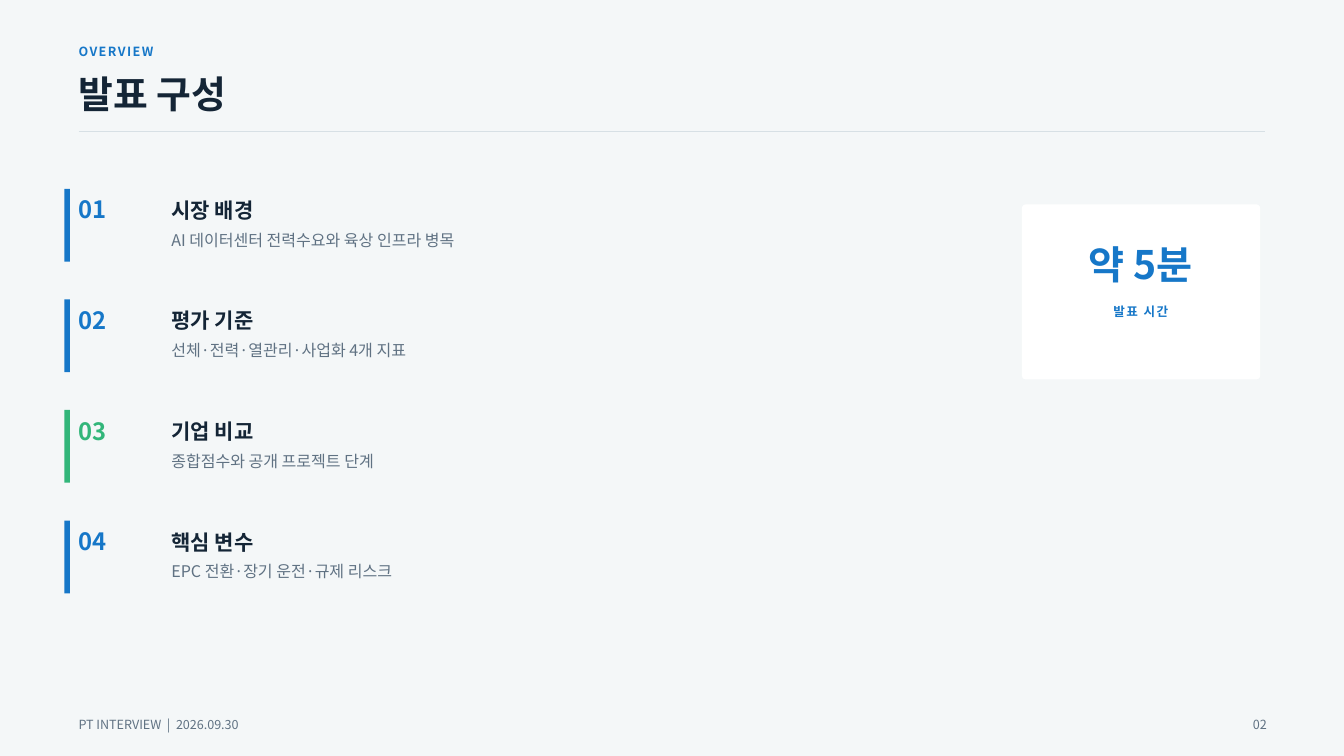
from lxml import etree
from pptx import Presentation
from pptx.dml.color import RGBColor
from pptx.enum import shapes, text
from pptx.oxml import ns
from pptx.util import Cm, Pt

FONT = "Noto Sans CJK KR"
COLORS = {"paper": "F4F7F8", "blue": "1677C8", "green": "32B67A", "ink": "142536",
          "grey": "607283", "rule": "D7E0E5", "white": "FFFFFF"}
COLORS = {name: RGBColor.from_string(value) for name, value in COLORS.items()}
ALIGN = text.PP_ALIGN
STYLES = {
    "eyebrow": dict(size=13.5, leading=18.9, color="blue", bold=True, tracking=160),
    "title": dict(size=40.5, leading=45.4, color="ink", bold=True),
    "number": dict(size=25.5, leading=25.5, color="blue", bold=True),
    "heading": dict(size=22.5, leading=27, color="ink", bold=True),
    "detail": dict(size=17.2, leading=25, color="grey"),
    "duration": dict(size=42, leading=42, color="blue", bold=True),
    "footer": dict(size=13.5, leading=18.2, color="grey"),
}


def write(box, wording, style, align=ALIGN.LEFT, color=None):
    """Fill a text box or placeholder with one line in a named style."""
    look = STYLES[style]
    frame = box.text_frame
    frame_format = dict(margin_left=0, margin_top=0, margin_right=0, margin_bottom=0,
                        word_wrap=True, vertical_anchor=text.MSO_ANCHOR.TOP,
                        auto_size=text.MSO_AUTO_SIZE.SHAPE_TO_FIT_TEXT)
    for key, value in frame_format.items():
        setattr(frame, key, value)
    line = frame.paragraphs[0]
    line.alignment = align
    line.line_spacing = Pt(look["leading"])
    run = line.add_run()
    run.text = wording
    font_format = dict(name=FONT, size=Pt(look["size"]), bold=look.get("bold", False))
    for key, value in font_format.items():
        setattr(run.font, key, value)
    run.font.color.rgb = COLORS[color or look["color"]]
    properties = run._r.get_or_add_rPr()
    etree.SubElement(properties, ns.qn("a:ea")).set("typeface", FONT)
    if "tracking" in look:
        properties.set("spc", str(look["tracking"]))


def add_block(parent, preset, left, top, width, height, color):
    block = parent.shapes.add_shape(preset, Cm(left), Cm(top), Cm(width), Cm(height))
    block.shadow.inherit = False
    block.fill.solid()
    block.fill.fore_color.rgb = COLORS[color]
    block.line.fill.background()
    return block


deck = Presentation()
deck.slide_width, deck.slide_height = Cm(50.8), Cm(28.58)
slide = deck.slides.add_slide(deck.slide_layouts[5])
slide.background.fill.solid()
slide.background.fill.fore_color.rgb = COLORS["paper"]

# Header
MARGIN = 2.97
eyebrow = slide.shapes.add_textbox(Cm(MARGIN), Cm(1.55), Cm(13.23), Cm(0.64))
write(eyebrow, "OVERVIEW", "eyebrow")
title = slide.shapes.title
title.left, title.top, title.width, title.height = Cm(MARGIN), Cm(2.79), Cm(39.67), Cm(1.65)
write(title, "발표 구성", "title")
rule = slide.shapes.add_connector(shapes.MSO_CONNECTOR.STRAIGHT,
                                  Cm(MARGIN), Cm(4.98), Cm(47.83), Cm(4.98))
rule.line.color.rgb = COLORS["rule"]
rule.line.width = Pt(1.5)
etree.SubElement(rule._element.spPr, ns.qn("a:effectLst"))

# Agenda
AGENDA = [
    ("시장 배경", "AI 데이터센터 전력수요와 육상 인프라 병목", "blue"),
    ("평가 기준", "선체·전력·열관리·사업화 4개 지표", "blue"),
    ("기업 비교", "종합점수와 공개 프로젝트 단계", "green"),
    ("핵심 변수", "EPC 전환·장기 운전·규제 리스크", "blue"),
]
AGENDA_TOP, AGENDA_PITCH = 7.14, 4.18
for index, (heading, detail, accent) in enumerate(AGENDA):
    top = AGENDA_TOP + index * AGENDA_PITCH
    item = slide.shapes.add_group_shape()
    add_block(item, shapes.MSO_SHAPE.RECTANGLE, 2.43, top, 0.21, 2.75, accent)
    parts = [
        (f"{index + 1:02}", "number", MARGIN, 0.42, 2.38, 0.99, accent),
        (heading, "heading", 6.48, 0.32, 9.53, 0.97, None),
        (detail, "detail", 6.48, 1.41, 29.63, 0.82, None),
    ]
    for wording, style, left, offset, width, height, color in parts:
        box = item.shapes.add_textbox(Cm(left), Cm(top + offset), Cm(width), Cm(height))
        write(box, wording, style, color=color)

# Duration card
card = slide.shapes.add_group_shape()
panel = add_block(card, shapes.MSO_SHAPE.ROUNDED_RECTANGLE, 38.63, 7.73, 9, 6.61, "white")
panel.adjustments[0] = 0.02
for wording, style, top, height in [("약 5분", "duration", 9.37, 1.63),
                                    ("발표 시간", "eyebrow", 11.38, 0.64)]:
    box = card.shapes.add_textbox(Cm(39.68), Cm(top), Cm(6.88), Cm(height))
    write(box, wording, style, ALIGN.CENTER)

# Footer
for wording, left, width, align in [("PT INTERVIEW  |  2026.09.30", MARGIN, 15.88, ALIGN.LEFT),
                                    ("02", 46.03, 1.85, ALIGN.RIGHT)]:
    box = slide.shapes.add_textbox(Cm(left), Cm(27.03), Cm(width), Cm(0.64))
    write(box, wording, "footer", align)

deck.save("out.pptx")
